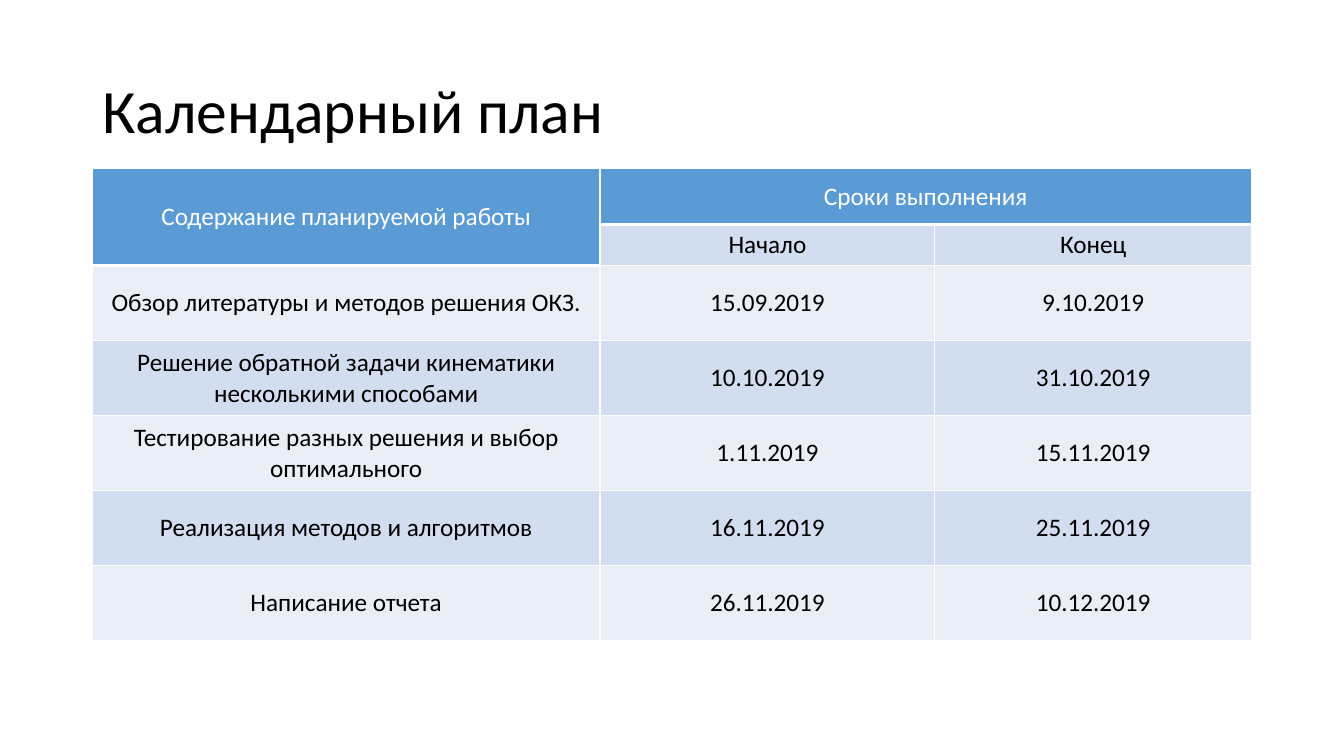
"""Build a one-slide calendar plan with a table of work stages and dates."""
from dataclasses import dataclass

from lxml.etree import SubElement
from pptx import Presentation
from pptx.dml.color import RGBColor as RGB
from pptx.enum.text import MSO_ANCHOR as Anchor, PP_ALIGN as Align
from pptx.oxml.ns import qn
from pptx.util import Cm, Pt


@dataclass(frozen=True)
class Theme:
    font: str = "Calibri"
    title_size: int = 44
    cell_size: int = 18
    text: str = "000000"
    header_text: str = "FFFFFF"
    header: str = "5B9BD5"
    bands: tuple = ("EAEFF7", "D2DEEF")
    border: str = "FFFFFF"
    thin: int = 1
    thick: int = 3


THEME = Theme()
LEFT, WIDTH = Cm(2.33), Cm(29.21)
COLUMNS = (12.79, 8.44, 7.98)
HEADER_ROWS, STAGE_ROW = (1.41, 1.02), 1.89
HEADERS = [
    ("Содержание планируемой работы", "Сроки выполнения", ""),
    ("", "Начало", "Конец"),
]
STAGES = [
    ("Обзор литературы и методов решения ОКЗ.", "15.09.2019", "9.10.2019"),
    ("Решение обратной задачи кинематики несколькими способами", "10.10.2019", "31.10.2019"),
    ("Тестирование разных решения и выбор оптимального", "1.11.2019", "15.11.2019"),
    ("Реализация методов и алгоритмов", "16.11.2019", "25.11.2019"),
    ("Написание отчета", "26.11.2019", "10.12.2019"),
]


def format_runs(p, size, color):
    for r in p.runs:
        r.font.name = THEME.font
        r.font.size = Pt(size)
        r.font.bold = False
        r.font.color.rgb = RGB.from_string(color)


def add_title(s, text):
    title = s.shapes.title
    title.left, title.top, title.width, title.height = LEFT, Cm(1.01), WIDTH, Cm(3.68)
    tf = title.text_frame
    tf.text = text
    tf.vertical_anchor = Anchor.MIDDLE
    p = tf.paragraphs[0]
    p.alignment = Align.LEFT
    p.line_spacing = 0.9
    format_runs(p, THEME.title_size, THEME.text)


def set_borders(cell, bottom):
    tc_pr = cell._tc.get_or_add_tcPr()
    widths = {"lnL": THEME.thin, "lnR": THEME.thin, "lnT": THEME.thin, "lnB": bottom}
    for side, width in widths.items():
        ln = SubElement(tc_pr, qn(f"a:{side}"), w=str(Pt(width)))
        fill = SubElement(ln, qn("a:solidFill"))
        SubElement(fill, qn("a:srgbClr"), val=THEME.border)


def format_cell(cell, text, fill, color, bottom):
    set_borders(cell, bottom)
    cell.fill.solid()
    cell.fill.fore_color.rgb = RGB.from_string(fill)
    cell.vertical_anchor = Anchor.MIDDLE
    if text:
        cell.text = text
        p = cell.text_frame.paragraphs[0]
        p.alignment = Align.CENTER
        format_runs(p, THEME.cell_size, color)


def add_plan(s):
    rows = HEADERS + STAGES
    heights = HEADER_ROWS + (STAGE_ROW,) * len(STAGES)
    frame = s.shapes.add_table(len(rows), len(COLUMNS), LEFT, Cm(4.25), WIDTH, Cm(sum(heights)))
    table = frame.table
    table.horz_banding = False
    for column, width in zip(table.columns, COLUMNS):
        column.width = Cm(width)
    table.cell(0, 0).merge(table.cell(1, 0))
    table.cell(0, 1).merge(table.cell(0, 2))
    for i, (texts, height) in enumerate(zip(rows, heights)):
        table.rows[i].height = Cm(height)
        for j, text in enumerate(texts):
            if i == 0 or (i, j) == (1, 0):
                style = THEME.header, THEME.header_text, THEME.thick
            else:
                style = THEME.bands[i % 2], THEME.text, THEME.thin
            format_cell(table.cell(i, j), text, *style)


def main():
    prs = Presentation()
    prs.slide_width, prs.slide_height = Cm(33.87), Cm(19.05)
    s = prs.slides.add_slide(prs.slide_layouts[5])
    add_title(s, "Календарный план")
    add_plan(s)
    prs.save("out.pptx")


if __name__ == "__main__":
    main()
